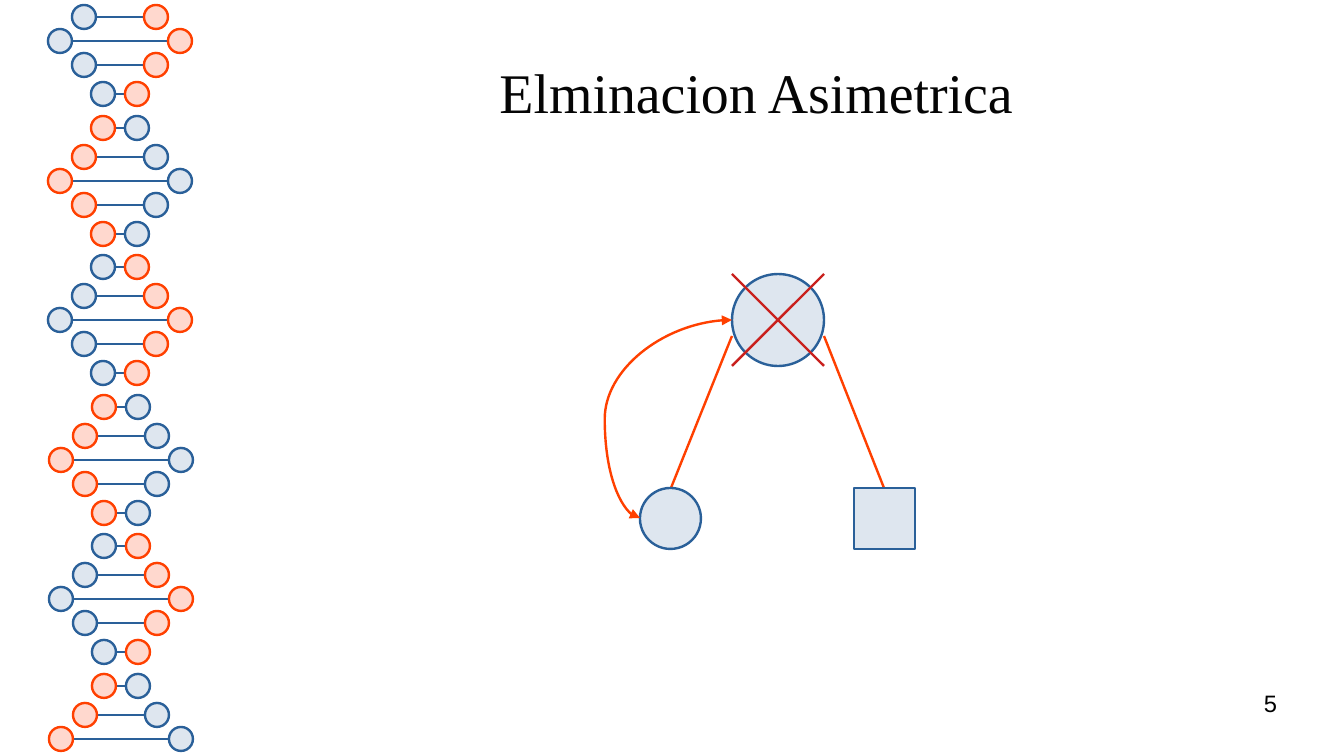
from dataclasses import dataclass

from lxml import etree
from pptx import Presentation
from pptx.dml.color import RGBColor
from pptx.enum.shapes import MSO_CONNECTOR, MSO_SHAPE
from pptx.enum.text import MSO_ANCHOR, PP_ALIGN
from pptx.oxml.ns import qn

OVAL, RECT = MSO_SHAPE.OVAL, MSO_SHAPE.RECTANGLE
STRAIGHT, CURVE = MSO_CONNECTOR.STRAIGHT, MSO_CONNECTOR.CURVE
EMU_PER_PX = 7495


@dataclass(frozen=True)
class Theme:
    blue: str = "2A6099"
    blue_fill: str = "DEE6EF"
    orange: str = "FF4000"
    orange_fill: str = "FFD8CE"
    cross: str = "C9211E"
    title_color: str = "050505"
    number_color: str = "000000"
    title_font: str = "Times New Roman"
    number_font: str = "Arial"
    title_size: int = 33
    number_size: int = 14
    line_width: float = 1.42


THEME = Theme()
BLUE = (THEME.blue_fill, THEME.blue)
ORANGE = (THEME.orange_fill, THEME.orange)


def px(n):
    return round(n * EMU_PER_PX)


def pt(n):
    return round(n * 12700)


def style_line(line, color):
    line.color.rgb = RGBColor.from_string(color)
    line.width = pt(THEME.line_width)


def add_node(s, kind, x, y, size, colors):
    fill, outline = colors
    node = s.shapes.add_shape(kind, px(x), px(y), px(size), px(size))
    node.shadow.inherit = False
    node.fill.solid()
    node.fill.fore_color.rgb = RGBColor.from_string(fill)
    style_line(node.line, outline)


def add_line(s, x1, y1, x2, y2, color, kind=STRAIGHT):
    line = s.shapes.add_connector(kind, px(x1), px(y1), px(x2), px(y2))
    style_line(line.line, color)
    etree.SubElement(line._element.spPr, qn("a:effectLst"))
    return line


def add_double_arrow(s, x1, y1, x2, y2, color, bend):
    """Curved arrow with two heads; bend is the adjustment in 1/100000 of the width."""
    arrow = add_line(s, x1, y1, x2, y2, color, CURVE)
    sp_pr = arrow._element.spPr
    guides = sp_pr.find(qn("a:prstGeom")).get_or_add_avLst()
    etree.SubElement(guides, qn("a:gd"), name="adj1", fmla=f"val {bend}")
    for end in ("a:headEnd", "a:tailEnd"):
        etree.SubElement(sp_pr.find(qn("a:ln")), qn(end), type="triangle")


def add_helix(s):
    """Five rungs per half turn, with the strand colours swapped at each half turn."""
    radius, first_y, pitch = 12, 41, 139.6
    rungs = ((-53, 17), (-24, 36), (0, 60), (24, 36), (53, 17))
    for turn in range(6):
        center = 120 if turn < 3 else 121
        left, right = (BLUE, ORANGE) if turn % 2 == 0 else (ORANGE, BLUE)
        for dy, reach in rungs:
            y = round(first_y + turn * pitch + dy)
            if not 0 < y < 756:
                continue
            inner = reach - radius
            add_line(s, center - inner, y, center + inner, y, THEME.blue)
            for x, colors in ((center - reach, left), (center + reach, right)):
                add_node(s, OVAL, x - radius, y - radius, 2 * radius, colors)


def add_tree(s):
    """Crossed-out parent with a round and a square child."""
    add_line(s, 732, 336, 671, 488, THEME.orange)
    add_line(s, 824, 336, 884, 488, THEME.orange)
    add_node(s, RECT, 854, 488, 61, BLUE)
    add_node(s, OVAL, 732, 274, 92, BLUE)
    add_node(s, OVAL, 640, 488, 61, BLUE)
    add_double_arrow(s, 732, 320, 640, 518, THEME.orange, 138300)
    add_line(s, 732, 274, 824, 366, THEME.cross)
    add_line(s, 824, 274, 732, 366, THEME.cross)


def write_text(shape, text, align, anchor, font, size, color):
    tf = shape.text_frame
    tf.word_wrap = True
    tf.vertical_anchor = anchor
    tf.margin_left = tf.margin_right = tf.margin_top = tf.margin_bottom = 0
    p = tf.paragraphs[0]
    p.text = text
    p.alignment = align
    p.font.name = font
    p.font.size = pt(size)
    p.font.color.rgb = RGBColor.from_string(color)


def add_title(s, text):
    title = s.shapes.title
    title.left, title.top, title.width, title.height = map(px, (216, 29, 1081, 124))
    write_text(title, text, PP_ALIGN.CENTER, MSO_ANCHOR.MIDDLE,
               THEME.title_font, THEME.title_size, THEME.title_color)


def add_page_number(s, text):
    box = s.shapes.add_textbox(*map(px, (964, 689, 313, 52)))
    write_text(box, text, PP_ALIGN.RIGHT, MSO_ANCHOR.TOP,
               THEME.number_font, THEME.number_size, THEME.number_color)


def main():
    prs = Presentation()
    prs.slide_width, prs.slide_height = px(1344), px(756)
    s = prs.slides.add_slide(prs.slide_layouts[5])
    add_helix(s)
    add_title(s, "Elminacion Asimetrica")
    add_tree(s)
    add_page_number(s, "5")
    prs.save("out.pptx")


if __name__ == "__main__":
    main()
